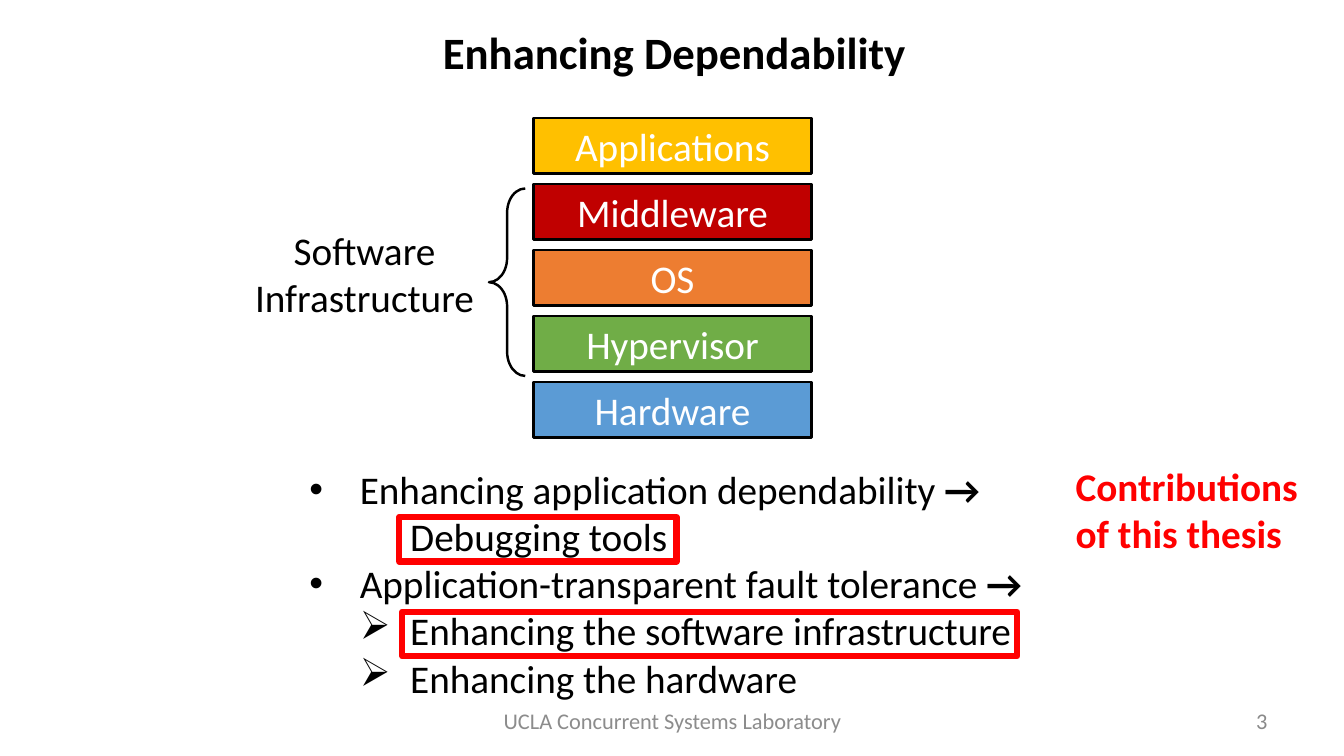
from lxml.etree import SubElement
from pptx import Presentation
from pptx.dml.color import RGBColor
from pptx.enum.shapes import MSO_SHAPE
from pptx.enum.text import MSO_ANCHOR, PP_ALIGN
from pptx.oxml.ns import qn
from pptx.util import Inches, Pt

# Content
LAYERS = [
    ("Applications", "FFC000"),
    ("Middleware", "C00000"),
    ("OS", "ED7D31"),
    ("Hypervisor", "70AD47"),
    ("Hardware", "5B9BD5"),
]
# text, bold ending, level, left margin, first-line indent, bullet
POINTS = [
    ("Enhancing application dependability ", "→", 0, 0.5, -0.5, "•"),
    ("Debugging tools", "", 1, 1, 0, None),
    ("Application-transparent fault tolerance ", "→", 0, 0.5, -0.5, "•"),
    ("Enhancing the software infrastructure", "", 1, 1, -0.5, "➢"),
    ("Enhancing the hardware", "", 1, 1, -0.5, "➢"),
]
# lines, place, alignment, anchor, font
MID, TOP = MSO_ANCHOR.MIDDLE, MSO_ANCHOR.TOP
LABELS = [
    (["Enhancing Dependability"], (2.19, 0.06, 9, 0.9), PP_ALIGN.CENTER, MID,
     {"size": 32, "bold": True}),
    (["UCLA Concurrent Systems Laboratory"], (4.56, 6.95, 4.22, 0.4),
     PP_ALIGN.CENTER, MID, {"size": 16, "color": "8C8C8C"}),
    (["3"], (9.56, 6.95, 3.11, 0.4), PP_ALIGN.RIGHT, MID,
     {"size": 16, "color": "898989"}),
    (["Contributions", "of this thesis"], (10.57, 4.54, 2.52, 1.04),
     PP_ALIGN.LEFT, TOP, {"bold": True, "color": "FF0000"}),
    (["Software", "Infrastructure"], (2.29, 2.2, 2.65, 1.04),
     PP_ALIGN.CENTER, TOP, {}),
]
FRAMES = [(3.99, 6.07, 6.1, 0.44), (3.96, 5.13, 2.75, 0.44)]
BASE = {"name": "Calibri", "size": 28, "bold": False, "color": "000000"}

deck = Presentation()
deck.slide_width, deck.slide_height = Inches(13.33), Inches(7.5)
slide = deck.slides.add_slide(deck.slide_layouts[6])


def tint(color, code):
    color.rgb = RGBColor.from_string(code)


def style(font, **extra):
    for key, value in {**BASE, **extra}.items():
        if key == "color":
            tint(font.color, value)
        else:
            setattr(font, key, Pt(value) if key == "size" else value)


def write(frame, lines, align, anchor, **look):
    frame.word_wrap = True
    frame.vertical_anchor = anchor
    for i, line in enumerate(lines):
        para = frame.paragraphs[0] if i == 0 else frame.add_paragraph()
        para.alignment = align
        run = para.add_run()
        run.text = line
        style(run.font, **look)


def draw(kind, place, line, width, fill=None):
    shape = slide.shapes.add_shape(kind, *map(Inches, place))
    shape.shadow.inherit = False
    tint(shape.line.color, line)
    shape.line.width = Pt(width)
    if fill:
        shape.fill.solid()
        tint(shape.fill.fore_color, fill)
    else:
        shape.fill.background()
    return shape


def add_box(place):
    return slide.shapes.add_textbox(*map(Inches, place)).text_frame


# Title, footer and side labels
for lines, place, align, anchor, look in LABELS:
    write(add_box(place), lines, align, anchor, **look)

# Bullet list
frame = add_box((2.97, 4.57, 7.39, 2.46))
frame.word_wrap = True
for i, (text, end, level, left, first, mark) in enumerate(POINTS):
    para = frame.paragraphs[0] if i == 0 else frame.add_paragraph()
    para.level = level
    props = para._p.get_or_add_pPr()
    props.set("marL", str(Inches(left)))
    props.set("indent", str(Inches(first)))
    if mark:
        face = "Arial" if mark == "•" else "Wingdings"
        SubElement(props, qn("a:buFont")).set("typeface", face)
        sign = "•" if mark == "•" else "Ø"
        SubElement(props, qn("a:buChar")).set("char", sign)
    else:
        SubElement(props, qn("a:buNone"))
    for part, bold in ((text, False), (end, True)):
        if part:
            run = para.add_run()
            run.text = part
            style(run.font, bold=bold)

# Red frames around the contributions
for place in FRAMES:
    draw(MSO_SHAPE.RECTANGLE, place, "FF0000", 4.5)

# System stack, evenly spaced from first to last layer
first, last = 1.17, 3.79
step = (last - first) / (len(LAYERS) - 1)
for i, (name, fill) in enumerate(LAYERS):
    place = (5.29, first + i * step, 2.76, 0.55)
    box = draw(MSO_SHAPE.RECTANGLE, place, "000000", 2, fill)
    write(box.text_frame, [name], PP_ALIGN.CENTER, MID, color="FFFFFF")

# Brace over the software layers
brace = draw(MSO_SHAPE.LEFT_BRACE, (4.85, 1.87, 0.36, 1.86), "000000", 1.75)
brace.adjustments[0] = 0.67
brace.adjustments[1] = 0.5

deck.save("out.pptx")
